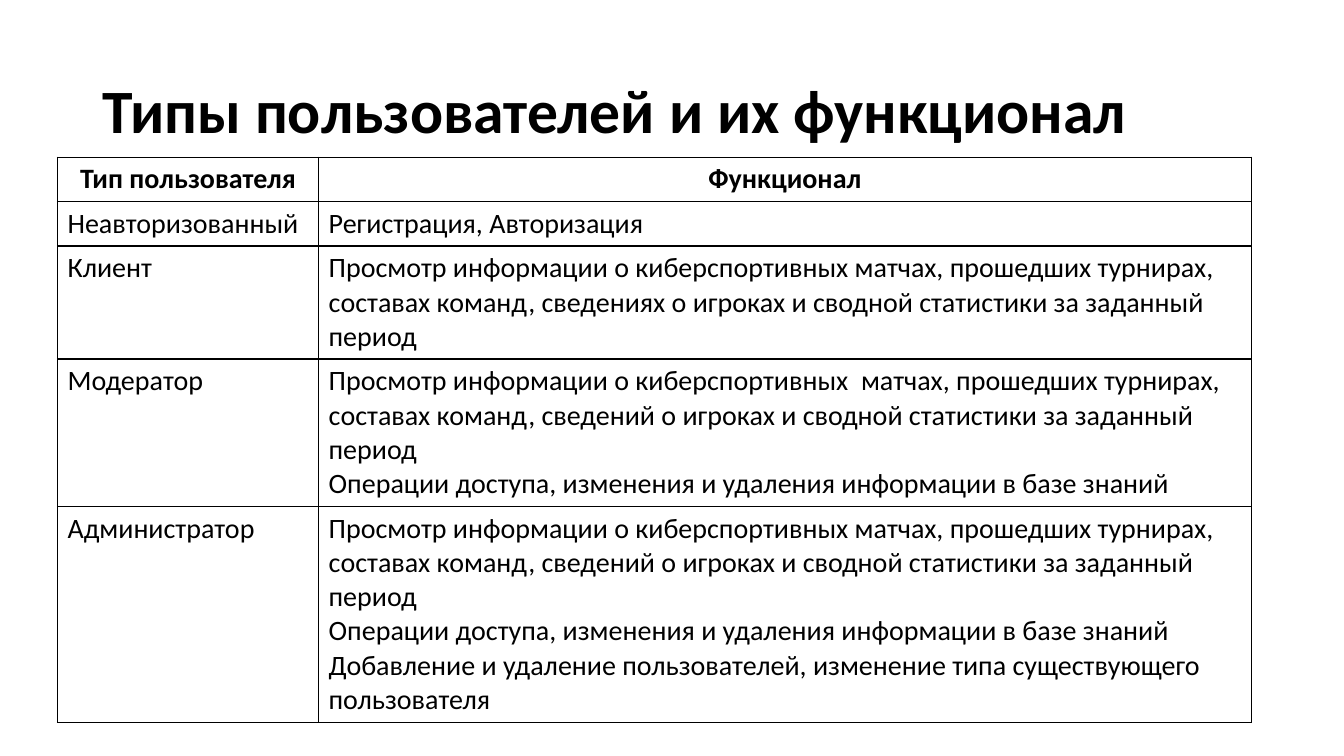
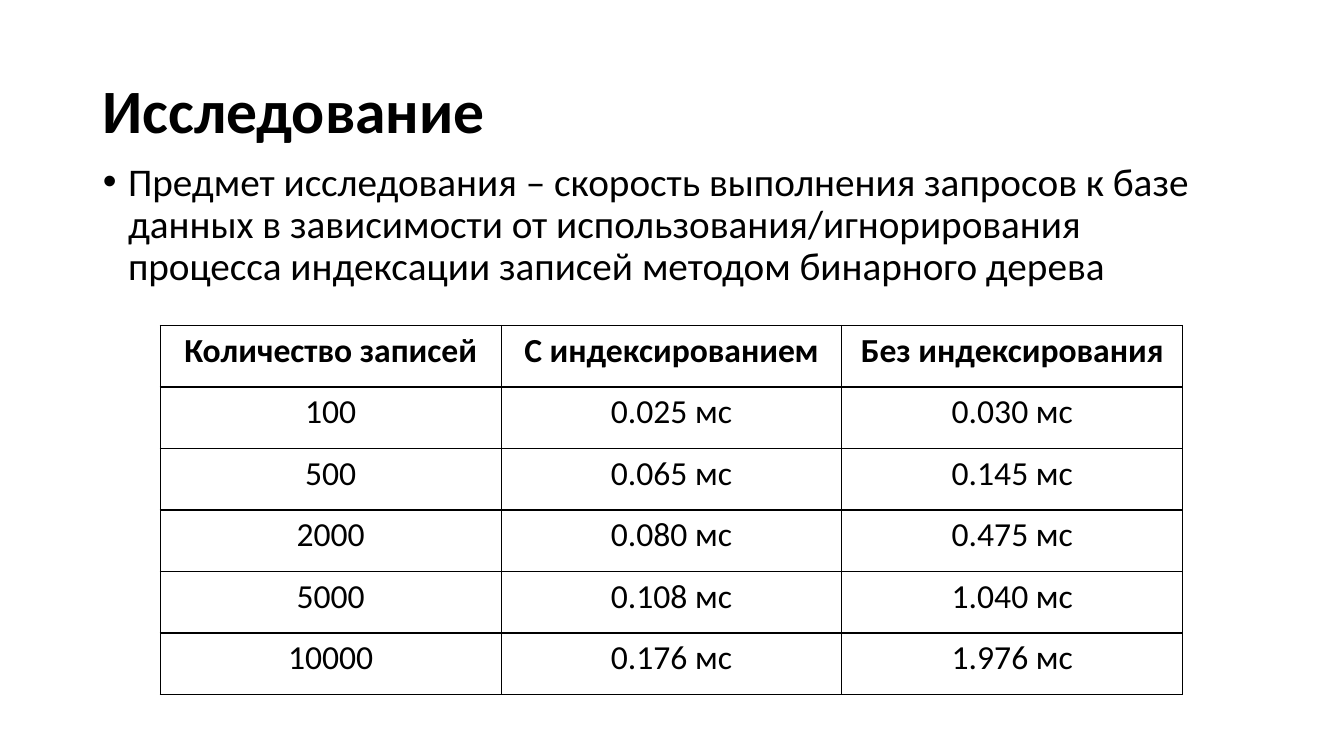
from lxml.etree import SubElement
from pptx import Presentation
from pptx.dml.color import RGBColor
from pptx.enum.text import MSO_ANCHOR as Anchor, MSO_AUTO_SIZE as AutoSize, PP_ALIGN as Align
from pptx.oxml.ns import qn
from pptx.util import Inches, Pt

BLACK = RGBColor(0x00, 0x00, 0x00)
FONT = "Calibri"
TITLE_SIZE, BODY_SIZE = 44, 28
MARGIN, CONTENT_WIDTH = 0.92, 11.5
LAYOUT_WITH_BODY, LAYOUT_TITLE_ONLY = 1, 5

VIEW = (
    "Просмотр информации о киберспортивных матчах, прошедших турнирах, "
    "составах команд, {} о игроках и сводной статистики за заданный период"
)
CLIENT_VIEW = VIEW.format("сведениях")
ADMIN_VIEW = VIEW.format("сведений")
MODERATOR_VIEW = ADMIN_VIEW.replace(" матчах", "  матчах")
EDIT = "Операции доступа, изменения и удаления информации в базе знаний"
MANAGE = "Добавление и удаление пользователей, изменение типа существующего пользователя"

USER_ROWS = [
    ("Тип пользователя", "Функционал"),
    ("Неавторизованный", "Регистрация, Авторизация"),
    ("Клиент", CLIENT_VIEW),
    ("Модератор", "\n".join([MODERATOR_VIEW, EDIT])),
    ("Администратор", "\n".join([ADMIN_VIEW, EDIT, MANAGE])),
]
TIMING_ROWS = [
    ("Количество записей", "С индексированием", "Без индексирования"),
    ("100", "0.025 мс", "0.030 мс"),
    ("500", "0.065 мс", "0.145 мс"),
    ("2000", "0.080 мс", "0.475 мс"),
    ("5000", "0.108 мс", "1.040 мс"),
    ("10000", "0.176 мс", "1.976 мс"),
]
SUBJECT = (
    "Предмет исследования – скорость выполнения запросов к базе данных "
    "в зависимости от использования/игнорирования процесса индексации "
    "записей методом бинарного дерева"
)


class Deck:
    """Hold the presentation, its shared style and the current slide."""

    def __init__(self):
        self.presentation = Presentation()
        self.presentation.slide_width = Inches(13.33)
        self.presentation.slide_height = Inches(7.5)
        self.slide = None

    def format_text(self, text_frame, size, bold=False, align=Align.LEFT, **spacing):
        for paragraph in text_frame.paragraphs:
            for name, value in {"alignment": align, **spacing}.items():
                setattr(paragraph, name, value)
            for run in paragraph.runs:
                for name, value in {"name": FONT, "size": Pt(size), "bold": bold}.items():
                    setattr(run.font, name, value)
                run.font.color.rgb = BLACK

    def fill_placeholder(self, shape, text, top, height, anchor, size, **text_format):
        box = {"left": MARGIN, "top": top, "width": CONTENT_WIDTH, "height": height}
        for name, value in box.items():
            setattr(shape, name, Inches(value))
        frame = shape.text_frame
        frame.text = text
        frame_format = {"word_wrap": True, "auto_size": AutoSize.NONE, "vertical_anchor": anchor}
        for name, value in frame_format.items():
            setattr(frame, name, value)
        self.format_text(frame, size, line_spacing=0.9, **text_format)

    def add_slide(self, title, layout):
        self.slide = self.presentation.slides.add_slide(self.presentation.slide_layouts[layout])
        self.fill_placeholder(
            self.slide.shapes.title, title, 0.4, 1.45, Anchor.MIDDLE, TITLE_SIZE, bold=True
        )

    def add_bullet(self, text):
        body = self.slide.placeholders[1]
        self.fill_placeholder(body, text, 1.56, 4.76, Anchor.TOP, BODY_SIZE, space_before=Pt(10))
        for paragraph in body.text_frame.paragraphs:
            properties = paragraph._p.get_or_add_pPr()
            properties.set("marL", str(Inches(0.25)))
            properties.set("indent", str(-Inches(0.25)))

    def add_borders(self, cell):
        properties = cell._tc.get_or_add_tcPr()
        for side in ("lnL", "lnR", "lnT", "lnB"):
            line = SubElement(properties, qn(f"a:{side}"), w=str(Pt(1)))
            fill = SubElement(line, qn("a:solidFill"))
            SubElement(fill, qn("a:srgbClr"), val=str(BLACK))

    def add_table(self, rows, left, top, widths, row_height, size, body_align):
        table = self.slide.shapes.add_table(
            len(rows), len(widths), Inches(left), Inches(top),
            Inches(sum(widths)), Inches(row_height * len(rows)),
        ).table
        table.horz_banding = False
        for column, width in zip(table.columns, widths):
            column.width = Inches(width)
        for row_index, row in enumerate(rows):
            header = row_index == 0
            for column_index, text in enumerate(row):
                cell = table.cell(row_index, column_index)
                cell.text = text
                self.add_borders(cell)
                cell.fill.background()
                align = Align.CENTER if header else body_align
                self.format_text(cell.text_frame, size, bold=header, align=align)


def main():
    deck = Deck()

    deck.add_slide("Типы пользователей и их функционал", LAYOUT_TITLE_ONLY)
    deck.add_table(USER_ROWS, 0.57, 1.56, [2.59, 9.25], 0.41, 20, Align.LEFT)

    deck.add_slide("Исследование", LAYOUT_WITH_BODY)
    deck.add_bullet(SUBJECT)
    deck.add_table(TIMING_ROWS, 1.59, 3.23, [3.38] * 3, 0.61, 24, Align.CENTER)

    deck.presentation.save("out.pptx")


if __name__ == "__main__":
    main()
